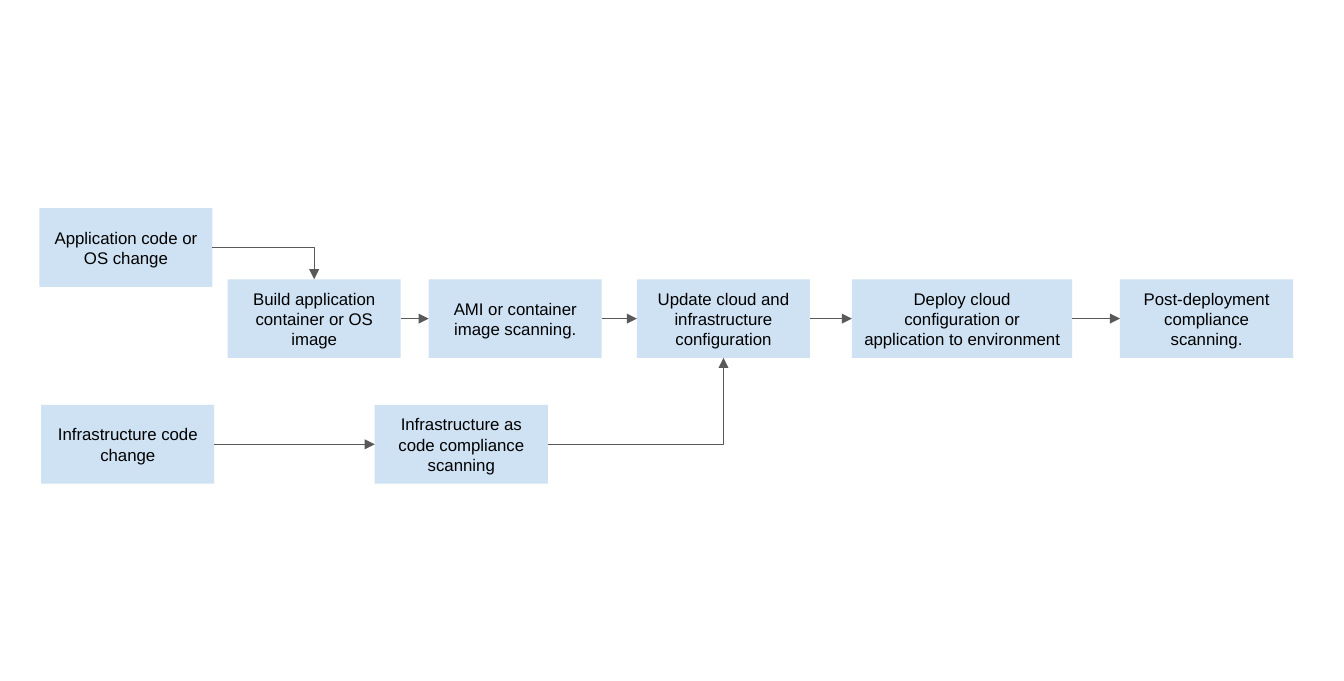
from dataclasses import dataclass

from lxml import etree
from pptx import Presentation
from pptx.dml.color import RGBColor
from pptx.enum.shapes import MSO_CONNECTOR, MSO_SHAPE
from pptx.enum.text import MSO_ANCHOR, PP_ALIGN
from pptx.oxml.ns import qn
from pptx.util import Inches, Pt

RECTANGLE = MSO_SHAPE.RECTANGLE
STRAIGHT, ELBOW = MSO_CONNECTOR.STRAIGHT, MSO_CONNECTOR.ELBOW
CENTER, MIDDLE = PP_ALIGN.CENTER, MSO_ANCHOR.MIDDLE
TOP, LEFT, BOTTOM, RIGHT = range(4)

SLIDE_WIDTH, SLIDE_HEIGHT = Inches(11.1), Pt(405)
CELL = 0.1  # inches per grid column and row
STEP_COLUMNS, STEP_ROWS = 14.3, 6.5
APPLICATION_ROW, PIPELINE_ROW, INFRASTRUCTURE_ROW = 17.2, 23.07, 33.45


@dataclass(frozen=True)
class Theme:
    font: str = "Arial"
    text_size: Pt = Pt(10)
    line_width: Pt = Pt(0.75)
    inset: Inches = Inches(0.1)
    text: RGBColor = RGBColor(0x00, 0x00, 0x00)
    step_fill: RGBColor = RGBColor(0xCF, 0xE2, 0xF3)
    arrow: RGBColor = RGBColor(0x59, 0x59, 0x59)


class FlowSlide:
    def __init__(self, slide, theme):
        self.shapes = slide.shapes
        self.theme = theme

    def step(self, text, column, row, columns=STEP_COLUMNS):
        """Add a process step, placed and sized in grid cells."""
        theme = self.theme
        box = self.shapes.add_shape(
            RECTANGLE,
            *(Inches(cells * CELL) for cells in (column, row, columns, STEP_ROWS)))
        box.shadow.inherit = False
        box.fill.solid()
        box.fill.fore_color.rgb = theme.step_fill
        box.line.fill.background()

        frame = box.text_frame
        frame.word_wrap = True
        frame.vertical_anchor = MIDDLE
        frame.margin_left = frame.margin_right = theme.inset
        frame.margin_top = frame.margin_bottom = theme.inset
        paragraph = frame.paragraphs[0]
        paragraph.text = text
        paragraph.alignment = CENTER
        paragraph.font.name = theme.font
        paragraph.font.size = theme.text_size
        paragraph.font.color.rgb = theme.text
        return box

    def arrow(self, source, target, side=LEFT):
        """Lead from the right of source to a side of target, with one bend unless side is LEFT."""
        kind = STRAIGHT if side == LEFT else ELBOW
        link = self.shapes.add_connector(kind, 0, 0, 0, 0)
        link.begin_connect(source, RIGHT)
        link.end_connect(target, side)
        link.line.color.rgb = self.theme.arrow
        link.line.width = self.theme.line_width
        properties = link._element.spPr
        if kind == ELBOW:
            properties.find(qn("a:prstGeom")).set("prst", "bentConnector2")
        etree.SubElement(properties.find(qn("a:ln")), qn("a:tailEnd"), type="triangle")
        etree.SubElement(properties, qn("a:effectLst"))


def main():
    presentation = Presentation()
    presentation.slide_width = SLIDE_WIDTH
    presentation.slide_height = SLIDE_HEIGHT
    blank_layout = presentation.slide_layouts[6]
    flow = FlowSlide(presentation.slides.add_slide(blank_layout), Theme())

    application_change = flow.step("Application code or OS change", 3.25, APPLICATION_ROW)
    infrastructure_change = flow.step("Infrastructure code change", 3.4, INFRASTRUCTURE_ROW)
    code_scan = flow.step("Infrastructure as code compliance scanning", 30.95, INFRASTRUCTURE_ROW)
    pipeline = [
        flow.step(text, column, PIPELINE_ROW, columns)
        for text, column, columns in (
            ("Build application container or OS image", 18.8, STEP_COLUMNS),
            ("AMI or container image scanning.", 35.4, STEP_COLUMNS),
            ("Update cloud and infrastructure configuration", 52.6, STEP_COLUMNS),
            ("Deploy cloud configuration or application to environment", 70.35, 18.2),
            ("Post-deployment compliance scanning.", 92.5, STEP_COLUMNS),
        )
    ]
    build, _, update, *_ = pipeline

    for source, target in zip(pipeline, pipeline[1:]):
        flow.arrow(source, target)
    flow.arrow(infrastructure_change, code_scan)
    flow.arrow(application_change, build, TOP)
    flow.arrow(code_scan, update, BOTTOM)

    presentation.save("out.pptx")


if __name__ == "__main__":
    main()
